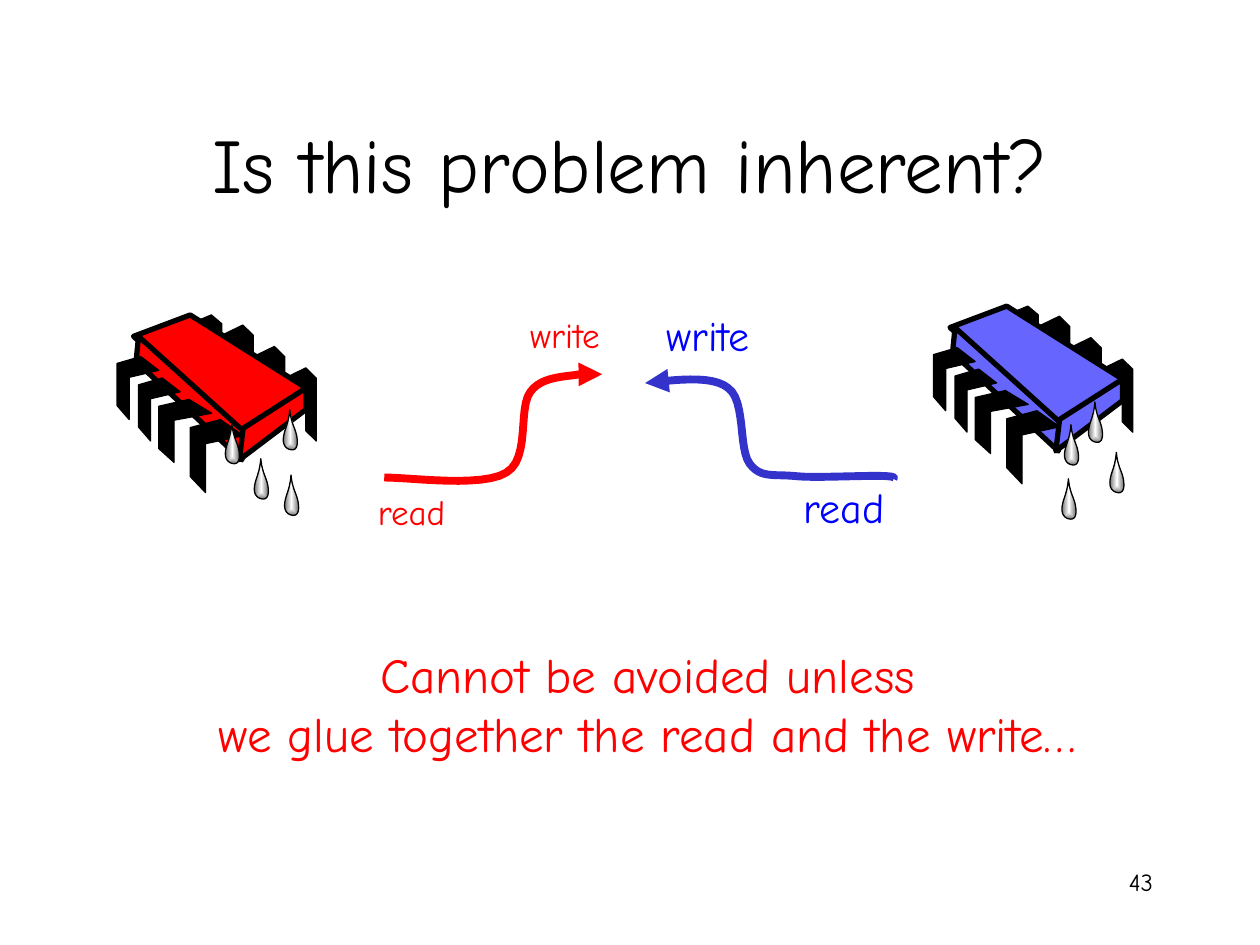
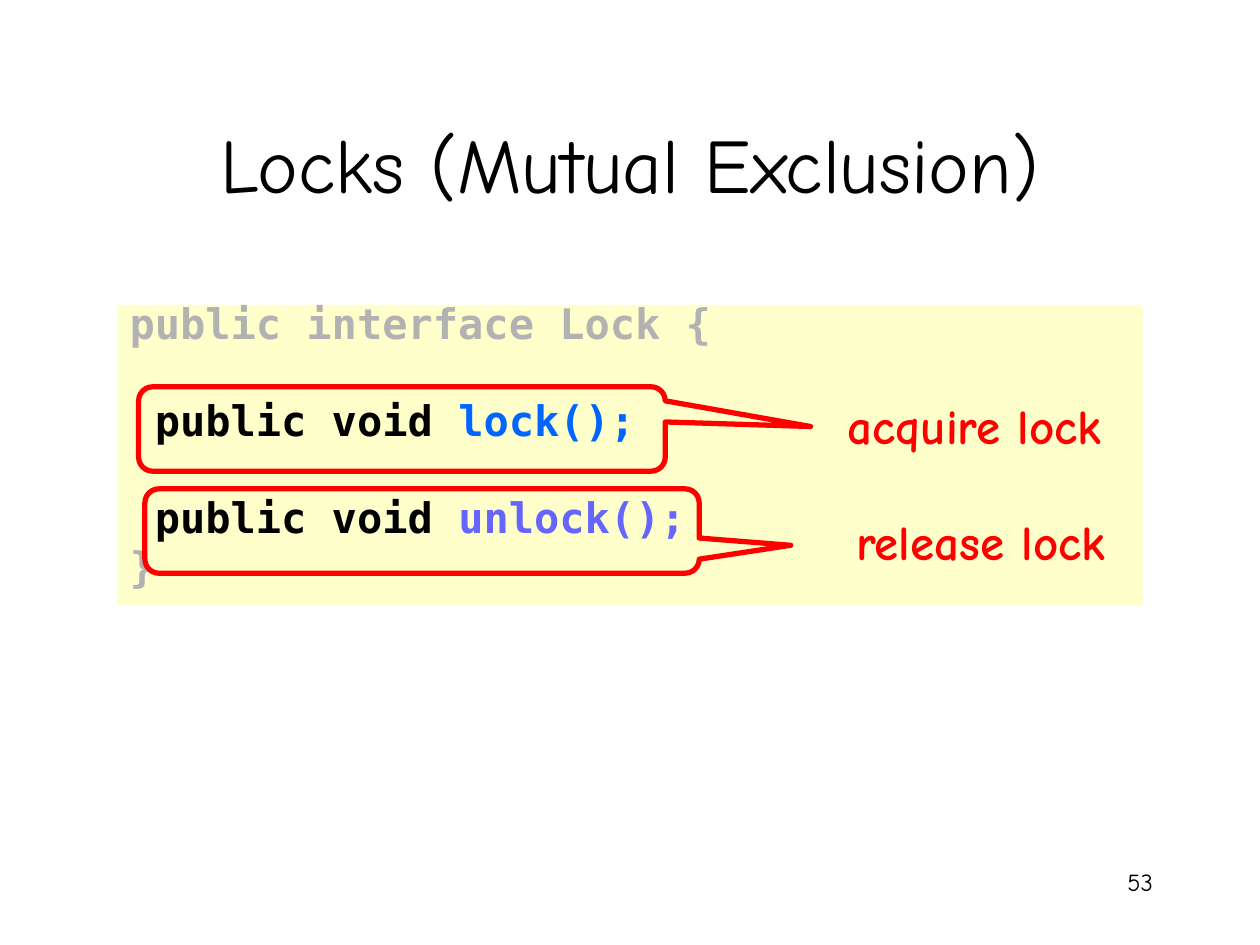
"""Build two slides on mutual exclusion: the read-write race and the lock interface."""
from dataclasses import dataclass

from lxml.etree import SubElement
from pptx import Presentation
from pptx.dml.color import RGBColor
from pptx.enum.shapes import MSO_SHAPE
from pptx.enum.text import MSO_ANCHOR, MSO_AUTO_SIZE, PP_ALIGN
from pptx.oxml.ns import qn
from pptx.util import Inches, Pt


@dataclass(frozen=True)
class Theme:
    text_font: str = "Comic Neue"
    code_font: str = "DejaVu Sans Mono"
    black: RGBColor = RGBColor(0, 0, 0)
    white: RGBColor = RGBColor(255, 255, 255)
    red: RGBColor = RGBColor(255, 0, 0)
    blue: RGBColor = RGBColor(0, 0, 255)
    arrow_blue: RGBColor = RGBColor(0x33, 0x33, 0xCC)
    violet: RGBColor = RGBColor(0x66, 0x66, 0xFF)
    azure: RGBColor = RGBColor(0, 0x66, 0xFF)
    faded: RGBColor = RGBColor(0xB2, 0xB2, 0xB2)
    shade: RGBColor = RGBColor(0x76, 0x76, 0x76)
    panel: RGBColor = RGBColor(255, 255, 0xCC)
    title: Pt = Pt(44)
    message: Pt = Pt(28)
    code: Pt = Pt(24)
    label: Pt = Pt(20)
    number: Pt = Pt(14)
    thin: Pt = Pt(0.75)
    edge: Pt = Pt(3)
    arrow: Pt = Pt(4.5)


theme = Theme()
deck = Presentation()
deck.slide_width, deck.slide_height = Inches(10), Inches(7.5)
column = deck.slide_width // 10
row = deck.slide_height / 7.5


def add_text(page, bounds, lines, size, color, align=PP_ALIGN.LEFT, bold=False, wrap=True):
    left, top, width, height = bounds
    box = page.shapes.add_textbox(int(left * column), int(top * row), int(width * column), int(height * row))
    frame = box.text_frame
    frame.word_wrap = wrap
    frame.text = "\n".join(lines)
    for para in frame.paragraphs:
        para.alignment = align
        para.font.name, para.font.size, para.font.bold = theme.text_font, size, bold
        para.font.color.rgb = color


def draw_outline(page, points, line_color, line_width, fill_color=None, curved=False, closed=True):
    if curved:
        steps = 12
        smooth = points[:1]
        for start in range(0, len(points) - 1, 3):
            bend = points[start:start + 4]
            for step in range(1, steps + 1):
                t = step / steps
                weights = ((1 - t) ** 3, 3 * t * (1 - t) ** 2, 3 * t ** 2 * (1 - t), t ** 3)
                smooth.append(tuple(sum(w * p[axis] for w, p in zip(weights, bend)) for axis in (0, 1)))
        points = smooth
    spots = [(x * column, y * row) for x, y in points]
    builder = page.shapes.build_freeform(*spots[0], scale=1.0)
    builder.add_line_segments(spots[1:], close=closed)
    outline = builder.convert_to_shape()
    outline.shadow.inherit = False
    outline.line.color.rgb, outline.line.width = line_color, line_width
    if fill_color is None:
        outline.fill.background()
    else:
        outline.fill.solid()
        outline.fill.fore_color.rgb = fill_color
    return outline


pages = []
for heading, number in (("Is this problem inherent?", "43"), ("Locks (Mutual Exclusion)", "53")):
    page = deck.slides.add_slide(deck.slide_layouts[5])
    title = page.shapes.title
    title.left, title.top = int(0.75 * column), int(0.67 * row)
    title.width, title.height = int(8.5 * column), int(1.25 * row)
    title.text_frame.text = heading
    title.text_frame.auto_size = MSO_AUTO_SIZE.NONE
    title.text_frame.vertical_anchor = MSO_ANCHOR.MIDDLE
    para = title.text_frame.paragraphs[0]
    para.alignment = PP_ALIGN.CENTER
    para.font.name, para.font.size = theme.text_font, theme.title
    para.font.color.rgb = theme.black
    add_text(page, (7.17, 6.83, 2.08, 0.5), [number], theme.number, theme.black, PP_ALIGN.RIGHT)
    pages.append(page)
race_page, lock_page = pages

back_pin = [(0, 0.14), (0.67, 0), (1, 0.14), (1, 1), (0.67, 0.86), (0.67, 0.29), (0, 0.43)]
front_pin = [(0.57, 0), (1, 0.22), (0.29, 0.33), (0.29, 1), (0, 0.78), (0, 0.11)]
back_pins = [(1.33, 0.42, 0.25, 0.58), (1.08, 0.25, 0.25, 0.58), (0.83, 0.08, 0.25, 0.58), (0.58, 0, 0.25, 0.5)]
front_pins = [(0.58, 0.83, 0.42, 0.58), (0.33, 0.67, 0.42, 0.5), (0.17, 0.5, 0.33, 0.5), (0, 0.33, 0.33, 0.5)]
body_faces = [
    [(0.58, 0), (1.5, 0.58), (0.99, 0.93), (0.13, 0.17)],
    [(0.17, 0.17), (1, 0.92), (0.99, 1.15), (0.15, 0.37)],
    [(1.5, 0.58), (1.5, 0.75), (0.97, 1.15), (1, 0.9)],
]
for chip_left, chip_top, chip_color in ((0.93, 2.5, theme.red), (7.41, 2.43, theme.violet)):
    parts = []
    for pin, places in ((back_pin, back_pins), (front_pin, front_pins)):
        for left, top, width, height in places:
            parts.append(([(left + x * width, top + y * height) for x, y in pin], theme.thin, theme.black))
    faces = [(face, theme.edge, chip_color) for face in body_faces]
    for points, line_width, color in parts[:4] + faces + parts[4:]:
        placed = [(chip_left + x, chip_top + y) for x, y in points]
        draw_outline(race_page, placed, theme.black, line_width, color)

red_route = [
    (3.05, 3.79), (3.27, 3.79), (3.83, 3.87), (4.02, 3.75), (4.21, 3.64), (4.11, 3.24), (4.21, 3.11),
    (4.3, 2.98), (4.52, 2.99), (4.6, 2.97), (4.66, 2.97), (4.72, 2.97), (4.78, 2.97),
]
blue_route = [
    (5.12, 3.04), (5.33, 3.02), (5.65, 2.97), (5.78, 3.08), (5.92, 3.18), (5.86, 3.56), (5.95, 3.68),
    (6.04, 3.8), (6.14, 3.76), (6.33, 3.78), (6.52, 3.8), (7.17, 3.75), (7.09, 3.8),
]
for route, color, tip in ((red_route, theme.red, "a:tailEnd"), (blue_route, theme.arrow_blue, "a:headEnd")):
    arrow = draw_outline(race_page, route, color, theme.arrow, curved=True, closed=False)
    SubElement(arrow.line._get_or_add_ln(), qn(tip), type="triangle")

drop = [
    (0.06, 0), (0.05, 0.12), (0.02, 0.15), (0.01, 0.22), (0, 0.29), (0.04, 0.32), (0.08, 0.32),
    (0.11, 0.32), (0.12, 0.29), (0.12, 0.26), (0.12, 0.16), (0.07, 0.13), (0.06, 0),
]
drop_places = [
    (8.63, 3.19), (8.44, 3.37), (8.8, 3.59), (8.42, 3.8),
    (2.24, 3.25), (2.01, 3.64), (2.25, 3.77), (1.78, 3.36),
]
for left, top in drop_places:
    sweat = draw_outline(race_page, [(left + x, top + y) for x, y in drop], theme.black, theme.thin, curved=True)
    sweat.fill.gradient()
    for stop, color in zip(sweat.fill.gradient_stops, (theme.white, theme.shade)):
        stop.color.rgb = color
    gradient = sweat._element.spPr.find(qn("a:gradFill"))
    gradient.remove(gradient.find(qn("a:lin")))
    glow = SubElement(gradient, qn("a:path"), path="rect")
    SubElement(glow, qn("a:fillToRect"), dict.fromkeys("ltrb", "50000"))

message = ["Cannot be avoided unless", "we glue together the read and the write…"]
add_text(race_page, (1.16, 5.07, 7.96, 1.04), message, theme.message, theme.red, PP_ALIGN.CENTER, wrap=False)
for label, bounds, size, color in (
    ("read", (2.9, 3.84, 0.79, 0.43), theme.label, theme.red),
    ("write", (4.11, 2.44, 0.89, 0.43), theme.label, theme.red),
    ("read", (6.28, 3.77, 0.91, 0.5), theme.code, theme.blue),
    ("write", (5.19, 2.41, 1.02, 0.5), theme.code, theme.blue),
):
    add_text(race_page, bounds, [label], size, color, wrap=False)

panel = lock_page.shapes.add_shape(
    MSO_SHAPE.RECTANGLE, int(0.93 * column), int(2.42 * row), int(8.14 * column), int(2.38 * row))
panel.shadow.inherit = False
panel.fill.solid()
panel.fill.fore_color.rgb = theme.panel
panel.line.fill.background()
frame = panel.text_frame
frame.word_wrap = True
frame.vertical_anchor = MSO_ANCHOR.TOP
code_lines = [
    (0, [("public interface Lock {", theme.faded)]),
    (35.3, [(" public void ", theme.black), ("lock();", theme.azure)]),
    (35.3, [(" public void ", theme.black), ("unlock();", theme.violet)]),
    (7.8, [("}", theme.faded)]),
]
for index, (gap, spans) in enumerate(code_lines):
    para = frame.add_paragraph() if index else frame.paragraphs[0]
    para.alignment = PP_ALIGN.LEFT
    para.line_spacing = 0.7
    if gap:
        para.space_before = Pt(gap)
    para.font.name, para.font.size, para.font.bold = theme.code_font, theme.code, True
    for words, color in spans:
        span = para.add_run()
        span.text = words
        span.font.color.rgb = color

for label, label_bounds, callout_bounds, adjustments in (
    ("release lock", (6.49, 4.01, 2.59, 0.57), (1.15, 3.88, 4.4, 0.67), (0.665, 0.169, 0.167)),
    ("acquire lock", (6.4, 3.09, 2.67, 0.57), (1.1, 3.07, 4.18, 0.67), (0.776, -0.029, 0.167)),
):
    left, top, width, height = callout_bounds
    callout = lock_page.shapes.add_shape(
        MSO_SHAPE.ROUNDED_RECTANGULAR_CALLOUT,
        int(left * column), int(top * row), int(width * column), int(height * row))
    callout.shadow.inherit = False
    callout.fill.background()
    callout.line.color.rgb, callout.line.width = theme.red, theme.edge
    for index, amount in enumerate(adjustments):
        callout.adjustments[index] = amount
    add_text(lock_page, label_bounds, [label], theme.message, theme.red, PP_ALIGN.CENTER, bold=True)

deck.save("out.pptx")
